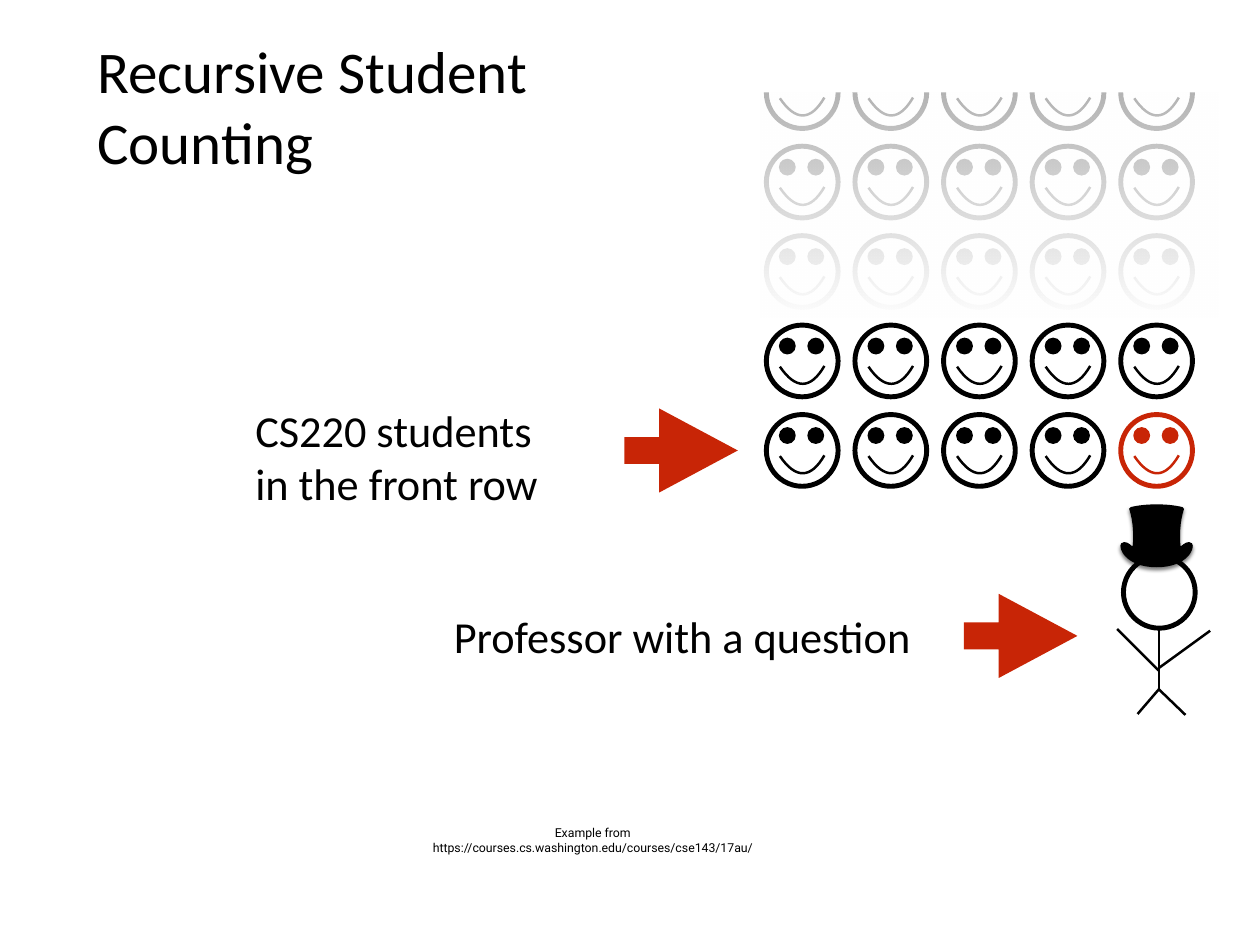
import dataclasses

import lxml.etree
import pptx
import pptx.dml.color
import pptx.enum.shapes
import pptx.enum.text
import pptx.oxml
import pptx.oxml.ns
import pptx.util

Pt = pptx.util.Pt
RGB = pptx.dml.color.RGBColor
SHAPE = pptx.enum.shapes.MSO_SHAPE
ALIGN = pptx.enum.text.PP_ALIGN
qn = pptx.oxml.ns.qn


@dataclasses.dataclass(frozen=True)
class Theme:
    ink: RGB = RGB(0, 0, 0)
    accent: RGB = RGB(0xC8, 0x25, 0x06)
    paper: RGB = RGB(255, 255, 255)
    font: str = "Calibri"
    source_font: str = "Roboto"
    title_size: int = 48
    label_size: int = 36
    source_size: int = 10
    outline: int = 4
    stroke: int = 2


THEME = Theme()

# Seating grid and face proportions, in points
SEAT_LEFT, SEAT_TOP = 622.8, 46.1
SEAT_DX, SEAT_DY = 72, 72.7
ROWS, COLS = 5, 5
HEAD = 58.3
EYE = 13.7

# Curves: a start point, then three points for each cubic segment
SMILE = [(47.2, 33.2), (36, 52.5), (23.8, 52.5), (11, 33.8)]
SMILE_BOX = (11, 33.2, 47.2, 48)
HAT_LEFT = [
    (0, 0),
    (-7.9, 0), (-14.4, 0.7), (-20.9, 2.2),
    (-21.6, 2.2), (-22.3, 2.9), (-22.3, 3.6),
    (-18.7, 14.4), (-18.7, 26.6), (-19.4, 33.8),
    (-19.4, 33.8), (-19.4, 33.8), (-20.2, 33.8),
    (-21.6, 32.4), (-25.9, 28.8), (-28.8, 31.7),
    (-31.7, 35.3), (-25.2, 51.1), (0, 51.1),
]
HAT = HAT_LEFT + [(-x, y) for x, y in reversed(HAT_LEFT[:-1])]
HAT_BOX = (-29.2, 0, 29.2, 51.1)


def style(sp, fill=None, line=None, width=0):
    sp.shadow.inherit = False
    if fill is None:
        sp.fill.background()
    else:
        sp.fill.solid()
        sp.fill.fore_color.rgb = fill
    if line is None:
        sp.line.fill.background()
    else:
        sp.line.color.rgb = line
        sp.line.width = Pt(width)
    return sp


def add_preset(shapes, kind, x, y, w, h, **look):
    sp = shapes.add_shape(kind, Pt(x), Pt(y), Pt(w), Pt(h))
    return style(sp, **look)


def add_curve(shapes, pts, box, x, y, close=False, **look):
    """Freeform over the box, its path made of cubic segments."""
    x0, y0, x1, y1 = box
    builder = shapes.build_freeform(Pt(x + x0), Pt(y + y0))
    builder.add_line_segments([(Pt(x + x1), Pt(y + y1))], close=False)
    sp = builder.convert_to_shape()
    outline = sp._element.spPr.find(".//" + qn("a:path"))
    for child in list(outline):
        outline.remove(child)
    pieces = [("a:moveTo", pts[:1])]
    pieces += [("a:cubicBezTo", pts[i:i + 3]) for i in range(1, len(pts), 3)]
    for tag, points in pieces:
        piece = lxml.etree.SubElement(outline, qn(tag))
        for px, py in points:
            lxml.etree.SubElement(piece, qn("a:pt"),
                                  {"x": str(Pt(px - x0)), "y": str(Pt(py - y0))})
    if close:
        lxml.etree.SubElement(outline, qn("a:close"))
    return style(sp, **look)


def add_limb(shapes, x1, y1, x2, y2):
    cxn = shapes.add_connector(pptx.enum.shapes.MSO_CONNECTOR.STRAIGHT,
                               Pt(x1), Pt(y1), Pt(x2), Pt(y2))
    cxn.line.color.rgb = THEME.ink
    cxn.line.width = Pt(THEME.stroke)
    lxml.etree.SubElement(cxn._element.spPr, qn("a:effectLst"))


def add_head(shapes, x, y, color):
    add_preset(shapes, SHAPE.OVAL, x, y, HEAD, HEAD,
               line=color, width=THEME.outline)


def add_student(shapes, row, col, color=THEME.ink):
    x, y = SEAT_LEFT + col * SEAT_DX, SEAT_TOP + row * SEAT_DY
    add_head(shapes, x, y, color)
    if row > 0:
        for dx in (10.2, 33.3):
            add_preset(shapes, SHAPE.OVAL, x + dx, y + 10.2, EYE, EYE, fill=color)
    add_curve(shapes, SMILE, SMILE_BOX, x, y, line=color, width=THEME.stroke)


def add_class(slide):
    front, last = ROWS - 1, COLS - 1
    for col in range(last):
        add_student(slide.shapes.add_group_shape().shapes, front, col)
    add_student(slide.shapes, front, last, THEME.accent)
    for row in reversed(range(front)):
        shapes = slide.shapes.add_group_shape().shapes
        for col in range(COLS):
            add_student(shapes, row, col)


def add_fade(slide):
    """Fade the back rows, and cut the last one off at the top."""
    sp = add_preset(slide.shapes, SHAPE.RECTANGLE, 617.8, 69.8, 372.2, 187.9)
    sp.fill.gradient()
    sp.fill.gradient_angle = 270
    for stop, pos, alpha in zip(sp.fill.gradient_stops, (0, 1), (70000, 100000)):
        stop.position = pos
        stop.color.rgb = THEME.paper
        clr = sp._element.spPr.findall(".//" + qn("a:srgbClr"))[pos]
        lxml.etree.SubElement(clr, qn("a:alpha"), {"val": str(alpha)})
    add_preset(slide.shapes, SHAPE.RECTANGLE, 599.8, 3.6, 391.7, 71.5,
               fill=THEME.paper)


def add_professor(slide):
    shapes = slide.shapes.add_group_shape().shapes
    add_head(shapes, 913, 452.2, THEME.ink)
    for limb in [(941.8, 560.9, 941.8, 511.2), (941.8, 545, 907.9, 511.2),
                 (983.5, 512.6, 941.8, 542.9), (963.4, 581, 941.8, 560.2),
                 (924.5, 580.3, 941.8, 560.2)]:
        add_limb(shapes, *limb)


def add_hat(slide):
    sp = add_curve(slide.shapes, HAT, HAT_BOX, 940, 409.9,
                   close=True, fill=THEME.ink)
    effects = sp._element.spPr.find(qn("a:effectLst"))
    effects.append(pptx.oxml.parse_xml(
        '<a:outerShdw xmlns:a="http://schemas.openxmlformats.org/drawingml/2006/main"'
        ' blurRad="38100" dist="25400" dir="5400000" rotWithShape="0">'
        f'<a:srgbClr val="{THEME.ink}"><a:alpha val="50000"/></a:srgbClr>'
        '</a:outerShdw>'))


def add_arrow(slide, x, y):
    sp = add_preset(slide.shapes, SHAPE.RIGHT_ARROW, x, y, 92.2, 68.4,
                    fill=THEME.accent)
    sp.adjustments[0], sp.adjustments[1] = 0.32, 0.935


def write_text(tf, lines, size, font=THEME.font, align=ALIGN.LEFT, wrap=False):
    tf.word_wrap = wrap
    tf.auto_size = pptx.enum.text.MSO_AUTO_SIZE.NONE
    tf.vertical_anchor = pptx.enum.text.MSO_ANCHOR.MIDDLE
    tf.margin_left = tf.margin_right = tf.margin_top = tf.margin_bottom = Pt(4.5)
    for i, line in enumerate(lines):
        p = tf.add_paragraph() if i else tf.paragraphs[0]
        p.alignment = align
        for j, part in enumerate(line.split("\n")):
            if j:
                p.add_line_break()
            r = p.add_run()
            r.text = part
            r.font.size = Pt(size)
            r.font.name = font
            r.font.color.rgb = THEME.ink


def add_label(slide, x, y, w, h, lines, size=THEME.label_size, **look):
    sp = slide.shapes.add_textbox(Pt(x), Pt(y), Pt(w), Pt(h))
    write_text(sp.text_frame, lines, size, **look)
    return sp


def add_title(slide, text):
    sp = slide.shapes.title
    sp.left, sp.top, sp.width, sp.height = Pt(74.5), Pt(35), Pt(874), Pt(101.5)
    write_text(sp.text_frame, [text], THEME.title_size, wrap=True)


def main():
    prs = pptx.Presentation()
    prs.slide_width, prs.slide_height = Pt(1024), Pt(768)
    slide = prs.slides.add_slide(prs.slide_layouts[5])

    add_title(slide, "Recursive Student\nCounting")

    # Students and professor
    add_class(slide)
    add_professor(slide)
    add_fade(slide)

    # Source line, centred left of the box middle
    source = add_label(
        slide, 347.8, 672.5, 328.3, 20.2,
        ["Example from https://courses.cs.washington.edu/courses/cse143/17au/"],
        THEME.source_size, font=THEME.source_font, align=ALIGN.CENTER, wrap=True)
    source.text_frame.margin_left, source.text_frame.margin_right = 0, Pt(60.5)

    # Labels with arrows
    add_label(slide, 203, 323, 244.8, 95, ["CS220 students", "in the front row"])
    add_label(slide, 364.3, 491, 385.2, 51.8, ["Professor with a question"])
    add_arrow(slide, 507.4, 331.9)
    add_arrow(slide, 783.4, 482.6)

    add_hat(slide)
    prs.save("out.pptx")


if __name__ == "__main__":
    main()
